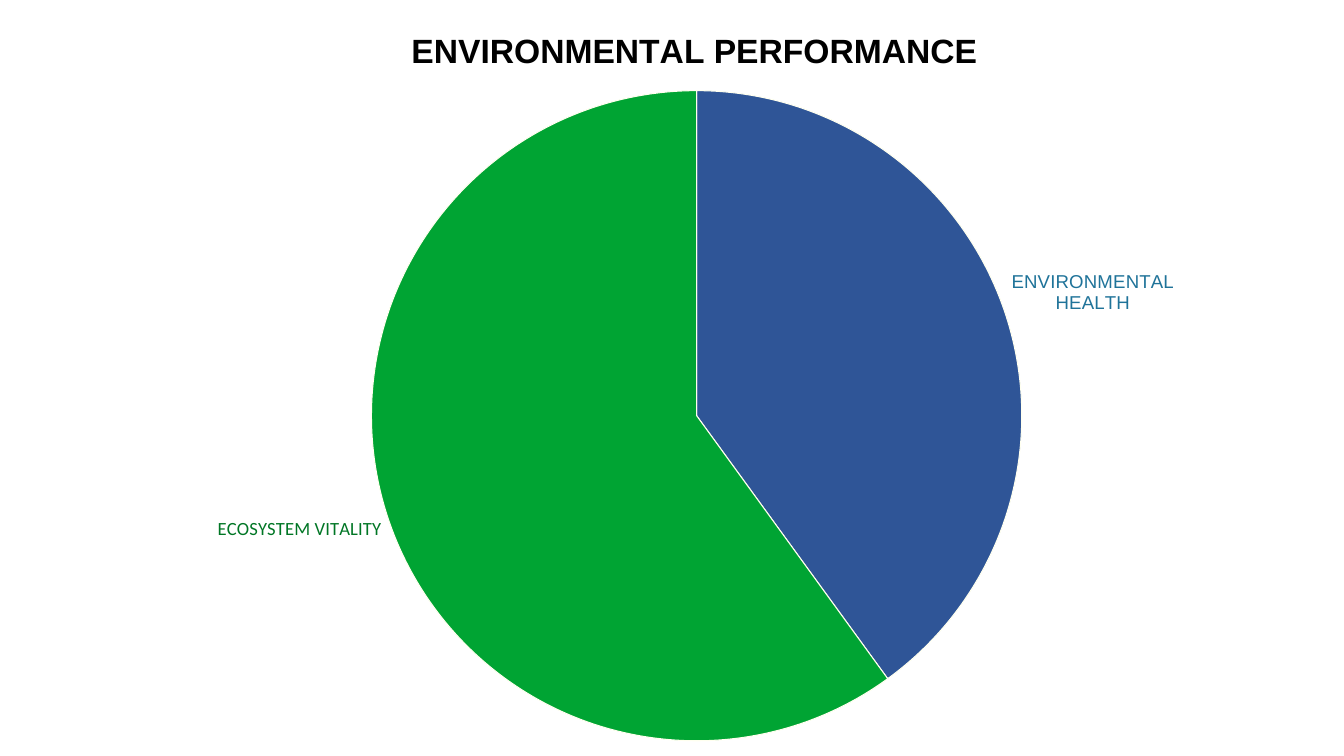
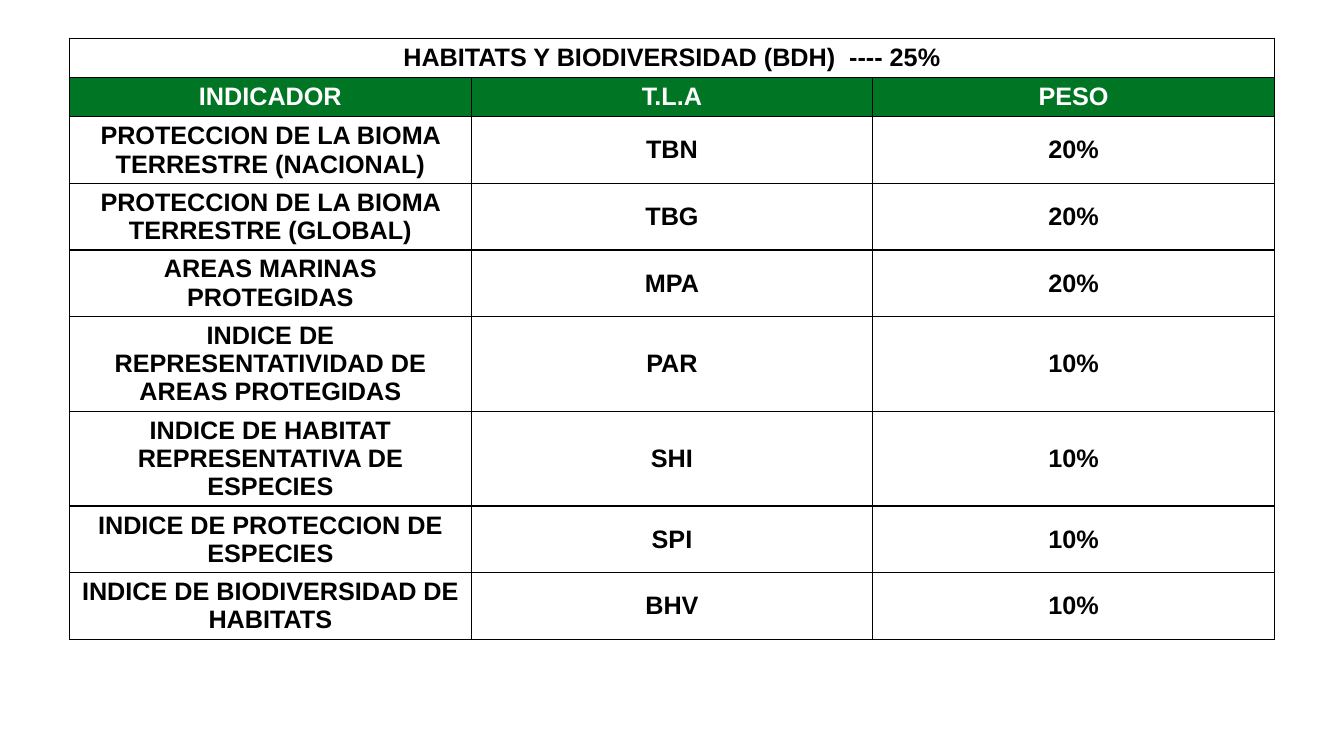
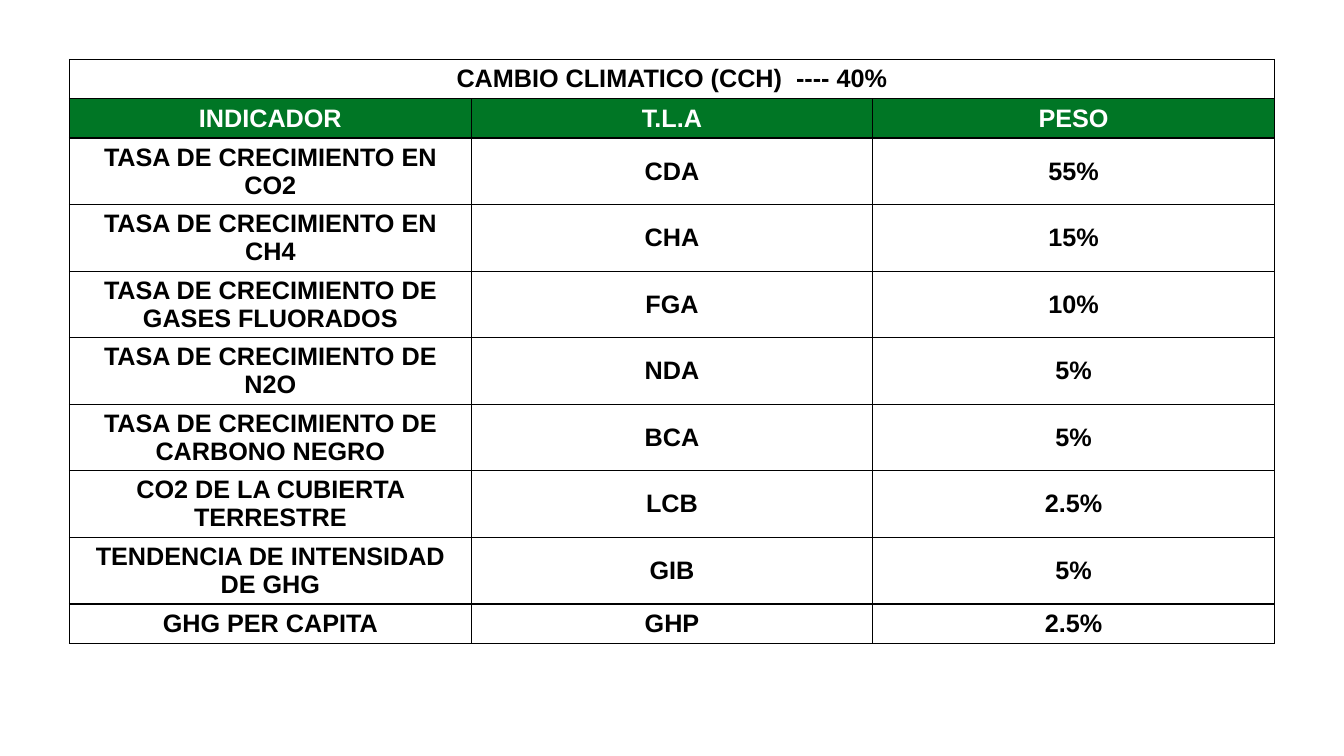
from pptx import Presentation, util as u
from pptx.chart import data
from pptx.dml import color
from pptx.enum import chart as ec, text
from pptx.oxml import parse_xml
from pptx.oxml import ns

WIDE, HIGH = 13.33, 7.5
BLACK, WHITE, GREEN = "000000", "FFFFFF", "007625"
HEADS = ("INDICADOR", "T.L.A", "PESO")
BOLD = {"name": "Arial", "bold": True}

HABITAT = [
    ("PROTECCION DE LA BIOMA TERRESTRE (NACIONAL)", "TBN", "20%"),
    ("PROTECCION DE LA BIOMA TERRESTRE (GLOBAL)", "TBG", "20%"),
    ("AREAS MARINAS PROTEGIDAS", "MPA", "20%"),
    ("INDICE DE REPRESENTATIVIDAD DE AREAS PROTEGIDAS", "PAR", "10%"),
    ("INDICE DE HABITAT REPRESENTATIVA DE ESPECIES", "SHI", "10%"),
    ("INDICE DE PROTECCION DE ESPECIES", "SPI", "10%"),
    ("INDICE DE BIODIVERSIDAD DE HABITATS", "BHV", "10%"),
]
CLIMATE = [
    ("TASA DE CRECIMIENTO EN CO2", "CDA", "55%"),
    ("TASA DE CRECIMIENTO EN CH4", "CHA", "15%"),
    ("TASA DE CRECIMIENTO DE GASES FLUORADOS", "FGA", "10%"),
    ("TASA DE CRECIMIENTO DE N2O", "NDA", "5%"),
    ("TASA DE CRECIMIENTO DE CARBONO NEGRO", "BCA", "5%"),
    ("CO2 DE LA CUBIERTA TERRESTRE", "LCB", "2.5%"),
    ("TENDENCIA DE INTENSIDAD DE GHG", "GIB", "5%"),
    ("GHG PER CAPITA", "GHP", "2.5%"),
]
SLICES = [
    ("ENVIRONMENTAL\nHEALTH", 40, "2F5597", "1F7399", "Arial"),
    ("ECOSYSTEM VITALITY", 60, "00A433", GREEN, "Calibri"),
]


def rgb(tint):
    return color.RGBColor.from_string(tint)


def style(font, tint, size, **form):
    font.color.rgb = rgb(tint)
    font.size = u.Pt(size)
    for key, val in form.items():
        setattr(font, key, val)


def paint(item, tint):
    item.fill.solid()
    item.fill.fore_color.rgb = rgb(tint)


def write(frame, words, tint, size, **form):
    frame.text = words
    for par in frame.paragraphs:
        par.alignment = text.PP_ALIGN.CENTER
        for run in par.runs:
            style(run.font, tint, size, **form)


def border(cell, tint=BLACK, width=1):
    props = cell._tc.get_or_add_tcPr()
    for spot, side in enumerate("LRTB"):
        props.insert(spot, parse_xml(
            f'<a:ln{side} {ns.nsdecls("a")} w="{u.Pt(width)}"><a:solidFill>'
            f'<a:srgbClr val="{tint}"/></a:solidFill></a:ln{side}>'))


def place(part, **box):
    for old in part.findall(ns.qn("c:layout")):
        part.remove(old)
    modes = "".join(f'<c:{key}Mode val="edge"/>' for key in "xy")
    sizes = "".join(f'<c:{key} val="{val}"/>' for key, val in box.items())
    inner = '<c:layoutTarget val="inner"/>' if "w" in box else ""
    spot = 0 if part.find(ns.qn("c:tx")) is None else 1
    part.insert(spot, parse_xml(
        f'<c:layout {ns.nsdecls("c")}><c:manualLayout>{inner}{modes}{sizes}'
        '</c:manualLayout></c:layout>'))


def pie(slide, title):
    info = data.CategoryChartData(number_format="0")
    info.categories = [part[0].replace("\n", " ") for part in SLICES]
    info.add_series(title, [part[1] for part in SLICES])
    chart = slide.shapes.add_chart(
        ec.XL_CHART_TYPE.PIE, u.Inches(0.63), 0,
        u.Inches(12.56), u.Inches(HIGH), info).chart
    style(chart.font, BLACK, 10, name="Calibri")
    chart.has_legend = False
    chart.has_title = True
    write(chart.chart_title.text_frame, title, BLACK, 24, **BOLD)
    place(chart.chart_title._element, x=0.27, y=0.03)
    place(chart._chartSpace.chart.plotArea, x=0.24, y=0.12, w=0.52, h=0.86)
    plot = chart.plots[0]
    plot.vary_by_categories = True
    for spot, (words, _, tint, ink, face) in enumerate(SLICES):
        point = plot.series[0].points[spot]
        paint(point.format, tint)
        point.format.line.color.rgb = rgb("FFFFEF")
        point.format.line.width = u.Pt(0.75)
        label = point.data_label
        write(label.text_frame, words, ink, 13.3, name=face, bold=False)
        label.position = ec.XL_LABEL_POSITION.OUTSIDE_END


def grid(slide, top, title, body):
    rows = [(title,), HEADS, *body]
    left, row = 0.69, 0.39
    table = slide.shapes.add_table(
        len(rows), len(HEADS), u.Inches(left), u.Inches(top),
        u.Inches(WIDE - 2 * left), u.Inches(row * len(rows))).table
    table.first_row = table.horz_banding = False
    table.cell(0, 0).merge(table.cell(0, len(HEADS) - 1))
    for down, line in enumerate(rows):
        back, ink = (GREEN, WHITE) if line is HEADS else (WHITE, BLACK)
        for across in range(len(HEADS)):
            cell = table.cell(down, across)
            paint(cell, back)
            border(cell)
            cell.vertical_anchor = text.MSO_ANCHOR.MIDDLE
            if across < len(line):
                write(cell.text_frame, line[across], ink, 18, **BOLD)


def main():
    deck = Presentation()
    deck.slide_width, deck.slide_height = u.Inches(WIDE), u.Inches(HIGH)
    first, second, third = [
        deck.slides.add_slide(deck.slide_layouts[6]) for _ in range(3)]
    pie(first, "ENVIRONMENTAL PERFORMANCE")
    grid(second, 0.38, "HABITATS Y BIODIVERSIDAD (BDH)  ---- 25%", HABITAT)
    grid(third, 0.59, "CAMBIO CLIMATICO (CCH)  ---- 40%", CLIMATE)
    deck.save("out.pptx")


if __name__ == "__main__":
    main()
